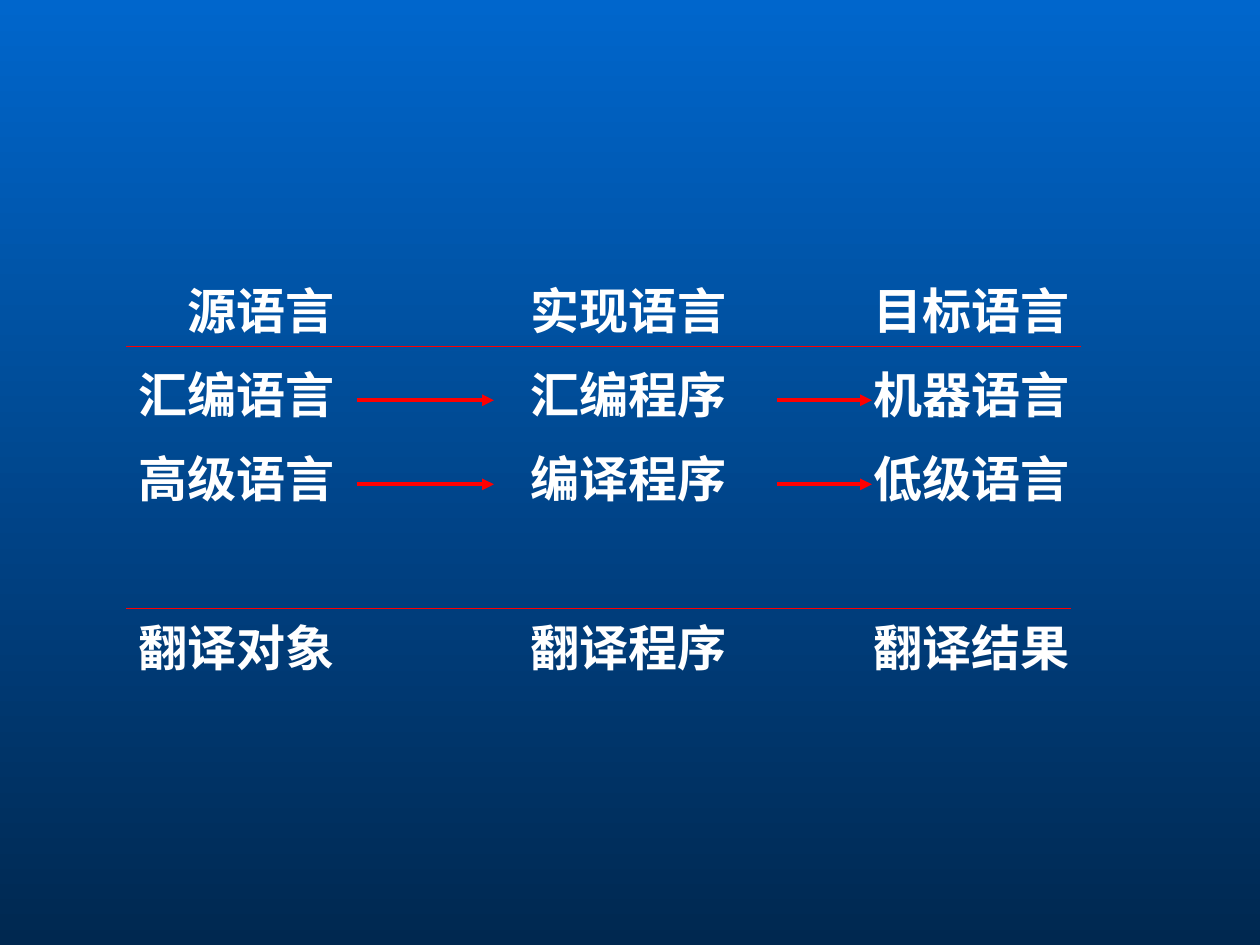
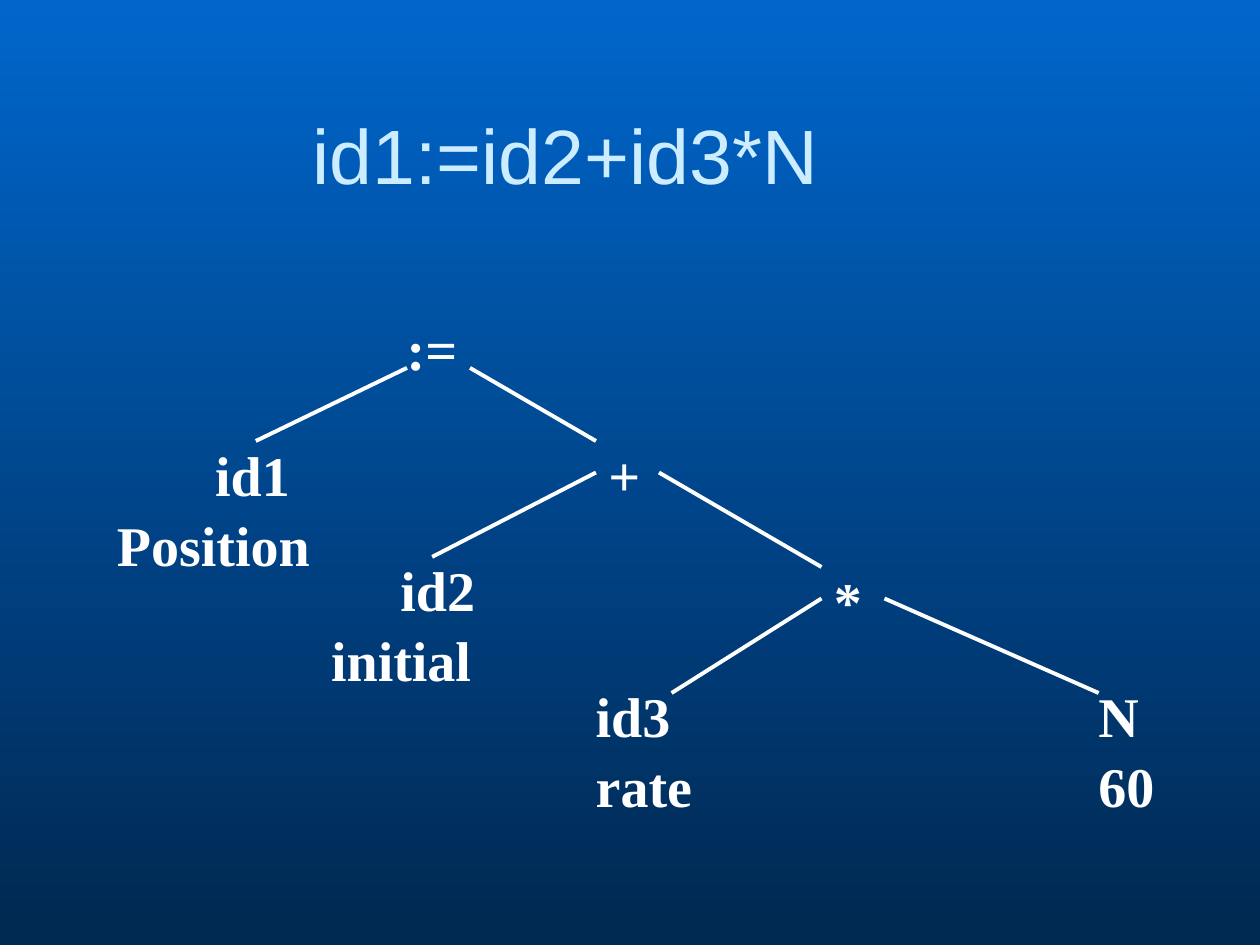
from lxml import etree
from pptx import Presentation
from pptx import util as u
from pptx.dml.color import RGBColor
from pptx.enum import shapes, text
from pptx.oxml import ns

WIDTH, HEIGHT = u.Inches(10), u.Inches(7.5)
COLUMN, ROW = WIDTH / 100, HEIGHT / 75
SKY, NIGHT, RED, WHITE, PALE = "0066CC", "002850", "FF0000", "FFFFFF", "CCECFF"
SERIF, SANS = "Times New Roman", "Arial"

HEADINGS = ("源语言", "实现语言", "目标语言")
TRANSLATIONS = (
    ("汇编语言", "汇编程序", "机器语言"),
    ("高级语言", "编译程序", "低级语言"),
)
ROLES = ("翻译对象", "翻译程序", "翻译结果")
COLUMN_ENDS = (15.56, 46.67, 73.89)
ROW_PITCH = 6.67

OPERATORS = ((":=", 23, 0), ("+", 39, 10), ("*", 56.9, 20))
LEAVES = (
    (("id1", "Position"), 0, 10, 20, 7.8),
    (("id2", "initial"), 17, 19.1, 15, 5.5),
    (("id3", "rate"), 38, 29.1, 11, 0),
    (("N", "60"), 77.9, 29.1, 8, 0),
)
BRANCHES = (
    ((24, 5), (12, 10.8)),
    ((29, 5), (39, 10.8)),
    ((39, 13.3), (26, 20)),
    ((44, 13.3), (56.9, 20.8)),
    ((56.9, 23.3), (45, 30.8)),
    ((61.9, 23.3), (78.9, 30.8)),
)


def rgb(code):
    """Turn a hex string into a colour."""
    return RGBColor.from_string(code)


def across(columns):
    """Convert grid columns to a length."""
    return u.Emu(round(columns * COLUMN))


def down(rows):
    """Convert grid rows to a length."""
    return u.Emu(round(rows * ROW))


def paint_background(master):
    """Give every slide the shared vertical gradient."""
    fill = master.background.fill
    fill.gradient()
    fill.gradient_angle = 270
    for stop, code, position in zip(fill.gradient_stops, (SKY, NIGHT), (0, 1)):
        stop.color.rgb = rgb(code)
        stop.position = position


def add_text(slide, box, lines, size, color=WHITE, font=SERIF, bold=True):
    """Place lines of text in a grid box and return the text frame."""
    left, top, width, height = box
    frame = slide.shapes.add_textbox(
        across(left), down(top), across(width), down(height)).text_frame
    frame.word_wrap = True
    frame.text = "\n".join(lines)
    for paragraph in frame.paragraphs:
        for run in paragraph.runs:
            run.font.size, run.font.name, run.font.bold = u.Pt(size), font, bold
            run.font.color.rgb = rgb(color)
    return frame


def add_line(slide, origin, start, end, color, weight, arrow=False):
    """Draw a straight line between two grid points relative to an origin."""
    left, top = origin
    line = slide.shapes.add_connector(
        shapes.MSO_CONNECTOR.STRAIGHT,
        across(left + start[0]), down(top + start[1]),
        across(left + end[0]), down(top + end[1]))
    line.line.color.rgb = rgb(color)
    line.line.width = u.Pt(weight)
    properties = line._element.spPr
    if arrow:
        etree.SubElement(properties.find(ns.qn("a:ln")), ns.qn("a:tailEnd"), type="triangle")
    etree.SubElement(properties, ns.qn("a:effectLst"))


def add_aligned_row(slide, box, words):
    """Set one row of words against the shared right-aligned tab stops."""
    frame = add_text(slide, box, ["\t" + "\t".join(words)], 28)
    properties = frame.paragraphs[0]._p.get_or_add_pPr()
    stops = etree.SubElement(properties, ns.qn("a:tabLst"))
    for end in COLUMN_ENDS:
        etree.SubElement(stops, ns.qn("a:tab"), pos=str(across(end)), algn="r")


def add_language_rows(slide, box):
    """Compare source, implementation and target languages in ruled rows."""
    left, top, width, height = box
    origin = left, top
    for row in range(1, len(TRANSLATIONS) + 1):
        level = row * ROW_PITCH + 3.3
        for start, end in ((18.3, 29.2), (51.7, 59.2)):
            add_line(slide, origin, (start, level), (end, level), RED, 2.25, arrow=True)
    for level, end in ((5.7, 75.8), (26.5, 75)):
        add_line(slide, origin, (0, level), (end, level), RED, 0.75)
    for row, words in zip((0, 1, 2, 4), (HEADINGS, *TRANSLATIONS, ROLES)):
        add_aligned_row(slide, (left, top + row * ROW_PITCH, width, height), words)


def add_title(slide, box, title):
    """Set the title, centred to the left of a wide right margin."""
    frame = add_text(slide, box, [title], 44, PALE, SANS, bold=False)
    frame.margin_right = across(11.2)
    frame.vertical_anchor = text.MSO_ANCHOR.MIDDLE
    frame.paragraphs[0].alignment = text.PP_ALIGN.CENTER


def add_syntax_tree(slide, origin):
    """Draw the syntax tree with its operators, leaves and branches."""
    left, top = origin
    operators = [((sign,), x, y, 8, 0) for sign, x, y in OPERATORS]
    for lines, x, y, width, indent in (*operators, *LEAVES):
        height = 1.1 + 5.3 * len(lines)
        frame = add_text(slide, (left + x, top + y, width, height), lines, 32)
        for paragraph in frame.paragraphs:
            paragraph.line_spacing = 1.05
        if indent:
            frame.paragraphs[0]._p.get_or_add_pPr().set("indent", str(across(indent)))
    for start, end in BRANCHES:
        add_line(slide, origin, start, end, WHITE, 2.25)


def main():
    """Build and save both slides."""
    deck = Presentation()
    deck.slide_width, deck.slide_height = WIDTH, HEIGHT
    paint_background(deck.slide_master)
    languages, tree = (deck.slides.add_slide(deck.slide_layouts[6]) for _ in range(2))
    add_language_rows(languages, (10, 21.8, 84.2, 10.4))
    add_title(tree, (5, 8.9, 90, 6.6), "id1:=id2+id3*N")
    add_syntax_tree(tree, (8.3, 24.2))
    deck.save("out.pptx")


if __name__ == "__main__":
    main()
